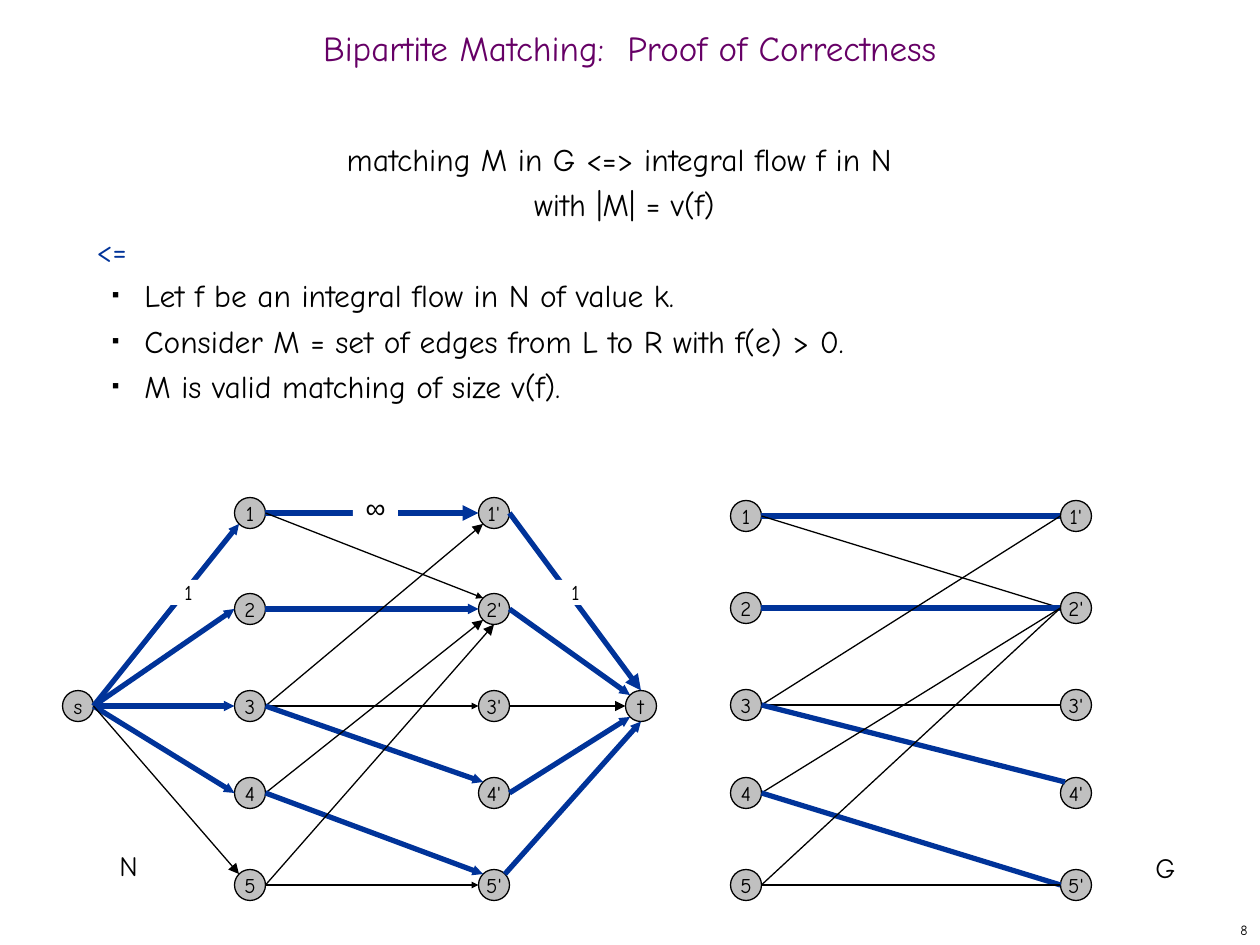
from math import sqrt
from lxml.etree import SubElement
from pptx import Presentation
from pptx.dml.color import RGBColor
from pptx.enum.shapes import MSO_CONNECTOR, MSO_SHAPE
from pptx.enum.text import MSO_ANCHOR as ANCHOR, MSO_AUTO_SIZE as AUTO, PP_ALIGN as ALIGN
from pptx.oxml.ns import qn
from pptx.util import Emu, Pt

BLACK = RGBColor(0x00, 0x00, 0x00)
WHITE = RGBColor(0xFF, 0xFF, 0xFF)
GRAY = RGBColor(0xC0, 0xC0, 0xC0)
BLUE = RGBColor(0x00, 0x33, 0x99)
PURPLE = RGBColor(0x66, 0x00, 0x66)
FONT = "Comic Neue"
SCALE = 914400 / 126
NODE = 31

TITLE = "Bipartite Matching:  Proof of Correctness"
BODY = [
    ("matching M in G <=> integral flow f in N ", ALIGN.CENTER, BLACK, False),
    ("with |M| = v(f)", ALIGN.CENTER, BLACK, False),
    ("<=", ALIGN.LEFT, BLUE, False),
    ("Let f be an integral flow in N of value k.", ALIGN.LEFT, BLACK, True),
    ("Consider M = set of edges from L to R with f(e) > 0.", ALIGN.LEFT, BLACK, True),
    ("M is valid matching of size v(f).", ALIGN.LEFT, BLACK, True),
]
NETWORK = {
    "left": 250, "right": 494, "rows": (513, 609, 706, 793, 885),
    "ends": {"s": (78, 706), "t": (641, 706)},
    "edges": [
        ("s", "1", "SW", "flow", "sm"), ("s", "2", "W", "flow", "sm"),
        ("s", "3", "W", "flow", "sm"), ("s", "4", "W", "flow", "sm"),
        ("s", "5", "NW", "idle", "med"),
        ("1", "1'", "W", "flow", "med"), ("1", "2'", "NW", "idle", "sm"),
        ("2", "2'", "W", "flow", "sm"), ("3", "3'", "W", "idle", "sm"),
        ("3", "1'", "SW", "idle", "med"), ("3", "4'", "NW", "flow", "sm"),
        ("4", "2'", "SW", "idle", "med"), ("4", "5'", "NW", "flow", "sm"),
        ("5", "2'", "S", "idle", "med"), ("5", "5'", "W", "idle", "sm"),
        ("1'", "t", "N", "flow", "med"), ("2'", "t", "NW", "flow", "sm"),
        ("3'", "t", "W", "idle", "med"), ("4'", "t", "SW", "flow", "sm"),
        ("5'", "t", "S", "flow", "sm"),
    ],
}
GRAPH = {
    "left": 746, "right": 1076, "rows": (516, 608, 705, 793, 885),
    "ends": {},
    "edges": [
        ("1", "1'", "W", "flow", None), ("1", "2'", "W", "idle", None),
        ("2", "2'", "W", "flow", None), ("3", "3'", "W", "idle", None),
        ("3", "1'", "W", "idle", None), ("3", "4'", "NW", "flow", None),
        ("4", "2'", "W", "idle", None), ("4", "5'", "W", "flow", None),
        ("5", "2'", "W", "idle", None), ("5", "5'", "W", "idle", None),
    ],
}
EDGE_STYLES = {"flow": (BLUE, 3), "idle": (BLACK, 0.75)}
CAPACITIES = [("1", (165, 580, 47, 25), 12, FONT), ("1", (552, 580, 47, 25), 12, FONT),
              ("∞", (353, 491, 45, 34), 16, "Arial")]
CAPTIONS = [("N", (107, 842, 77, 47)), ("G", (1143, 844, 77, 47))]

DIAGONAL = 1 / sqrt(2)
SITES = {"N": (0, -1), "S": (0, 1), "W": (-1, 0), "E": (1, 0),
         "NW": (-DIAGONAL, -DIAGONAL), "SW": (-DIAGONAL, DIAGONAL),
         "NE": (DIAGONAL, -DIAGONAL)}


def px(*values):
    return [Emu(round(v * SCALE)) for v in values]


def set_all(obj, values):
    for name, value in values.items():
        setattr(obj, name, value)


def write(p, text, size, color=BLACK, align=ALIGN.LEFT, font=FONT):
    p.alignment = align
    r = p.add_run()
    r.text = text
    set_all(r.font, {"name": font, "size": Pt(size), "bold": False})
    r.font.color.rgb = color


def add_text(shapes, box, text, size, align=ALIGN.LEFT, wrap=True, anchor=ANCHOR.TOP):
    tf = shapes.add_textbox(*px(*box)).text_frame
    set_all(tf, {"word_wrap": wrap, "vertical_anchor": anchor})
    write(tf.paragraphs[0], text, size, align=align)


def add_filled(shapes, kind, box, fill, line, text, size, frame, font=FONT):
    sp = shapes.add_shape(kind, *px(*box))
    sp.shadow.inherit = False
    sp.fill.solid()
    sp.fill.fore_color.rgb = fill
    if line is None:
        sp.line.fill.background()
    else:
        sp.line.color.rgb = line
        sp.line.width = Pt(0.75)
    set_all(sp.text_frame, frame)
    write(sp.text_frame.paragraphs[0], text, size, align=ALIGN.CENTER, font=font)


def add_bullet(p):
    pPr = p._p.get_or_add_pPr()
    pPr.set("marL", str(px(48)[0]))
    pPr.set("indent", str(px(-32)[0]))
    SubElement(pPr, qn("a:buSzPct"), val="35000")
    SubElement(pPr, qn("a:buFont"), typeface="Arial")
    SubElement(pPr, qn("a:buChar"), char="■")


def site(center, name):
    return [c + d * NODE / 2 for c, d in zip(center, SITES[name])]


def add_edge(shapes, start, end, style, head):
    color, width = EDGE_STYLES[style]
    line = shapes.add_connector(MSO_CONNECTOR.STRAIGHT, *px(*start, *end))
    line.line.color.rgb = color
    line.line.width = Pt(width)
    if head:
        SubElement(line.line._get_or_add_ln(), qn("a:tailEnd"), type="triangle", w=head, len=head)
    SubElement(line._element.spPr, qn("a:effectLst"))


def draw_graph(shapes, graph):
    nodes = dict(graph["ends"])
    for i, y in enumerate(graph["rows"], 1):
        nodes[f"{i}"] = (graph["left"], y)
        nodes[f"{i}'"] = (graph["right"], y)
    frame = {"word_wrap": False, "vertical_anchor": ANCHOR.MIDDLE}
    for name, (x, y) in nodes.items():
        box = (x - NODE / 2, y - NODE / 2, NODE, NODE)
        add_filled(shapes, MSO_SHAPE.OVAL, box, GRAY, BLACK, name, 12, frame)
    for a, b, entry, style, head in graph["edges"]:
        leave = "NE" if (a, b) == ("5'", "t") else "E"
        add_edge(shapes, site(nodes[a], leave), site(nodes[b], entry), style, head)


def main():
    prs = Presentation()
    prs.slide_width, prs.slide_height = px(1260, 945)
    slide = prs.slides.add_slide(prs.slide_layouts[5])
    shapes = slide.shapes

    title = shapes.title
    set_all(title, dict(zip(("left", "top", "width", "height"), px(0, 21, 1260, 63))))
    set_all(title.text_frame, {"auto_size": AUTO.NONE, "vertical_anchor": ANCHOR.MIDDLE})
    p = title.text_frame.paragraphs[0]
    p.line_spacing = 0.7
    write(p, TITLE, 20, PURPLE, ALIGN.CENTER)

    tf = shapes.add_textbox(*px(84, 126, 1081, 746)).text_frame
    tf.word_wrap = True
    for i, (text, align, color, bullet) in enumerate(BODY):
        p = tf.add_paragraph() if i else tf.paragraphs[0]
        p.line_spacing = Pt(26)
        if bullet:
            add_bullet(p)
        write(p, text, 18, color, align)

    for graph in (GRAPH, NETWORK):
        draw_graph(shapes, graph)

    frame = dict.fromkeys(("margin_left", "margin_top", "margin_right", "margin_bottom"), 0)
    frame["vertical_anchor"] = ANCHOR.TOP
    for text, box, size, font in CAPACITIES:
        add_filled(shapes, MSO_SHAPE.RECTANGLE, box, WHITE, None, text, size, frame, font)
    for text, box in CAPTIONS:
        add_text(shapes, box, text, 16)
    add_text(shapes, (998, 914, 262, 31), "8", 8, ALIGN.RIGHT, True, ANCHOR.MIDDLE)
    prs.save("out.pptx")


if __name__ == "__main__":
    main()
